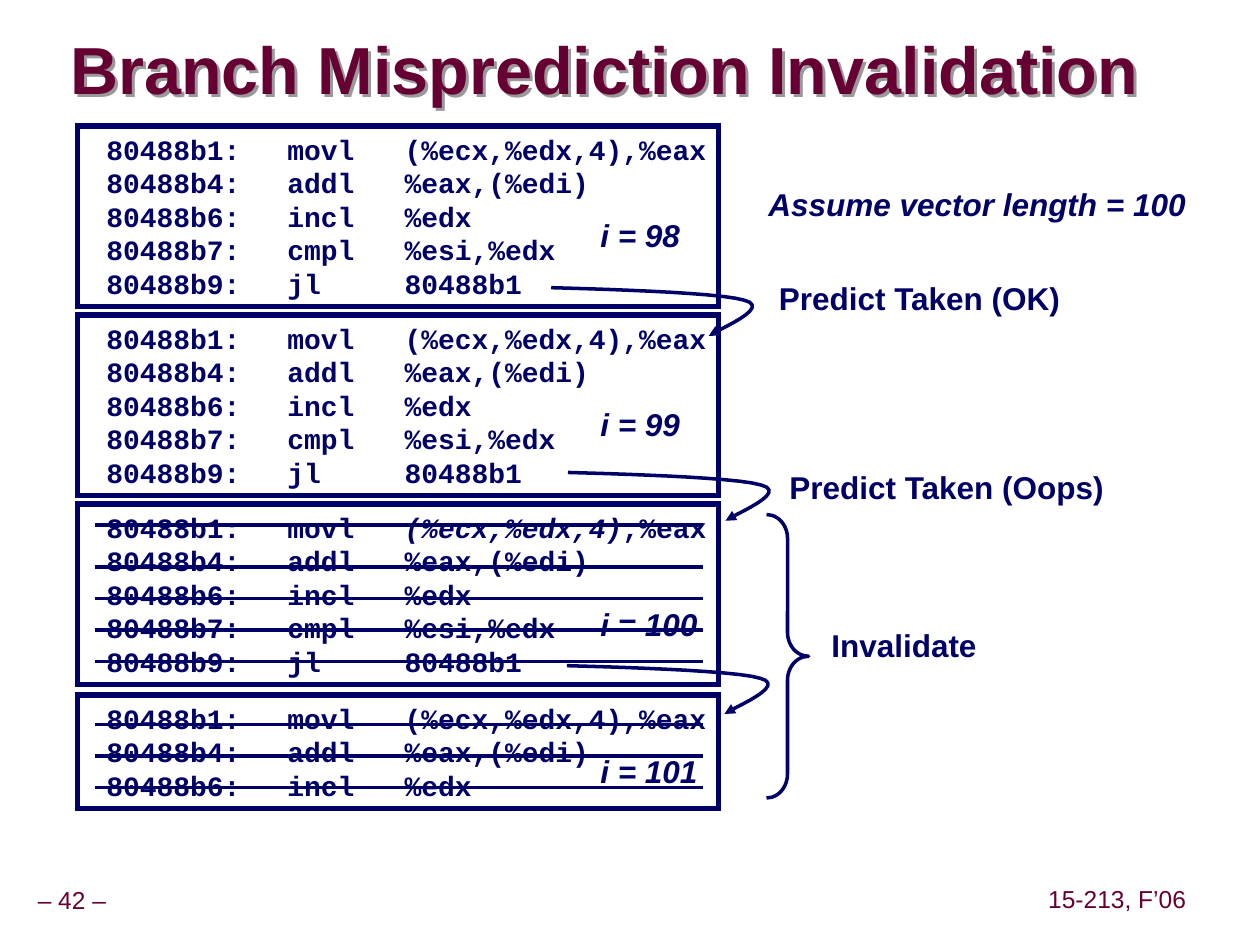
"""Builds the slide on invalidating instructions after a mispredicted branch."""
from dataclasses import dataclass
from typing import NamedTuple

from lxml.etree import SubElement
from pptx import Presentation
from pptx.dml.color import RGBColor as Rgb
from pptx.enum.shapes import MSO_CONNECTOR as Connector, MSO_SHAPE as Preset
from pptx.enum.text import MSO_ANCHOR as Anchor, PP_ALIGN as Align
from pptx.oxml.ns import qn
from pptx.util import Inches, Pt


@dataclass(frozen=True)
class Theme:
    navy: Rgb = Rgb(0x00, 0x00, 0x66)
    maroon: Rgb = Rgb(0x66, 0x00, 0x33)
    shade: Rgb = Rgb(0x99, 0x99, 0x99)
    sans: str = "Arial"
    mono: str = "Courier New"
    title_size: int = 38
    label_size: int = 18
    code_size: int = 16
    footer_size: int = 14
    frame_width: int = 3
    stroke_width: int = 2


class Point(NamedTuple):
    col: float
    row: float


class Area(NamedTuple):
    col: float
    row: float
    cols: float
    rows: float


class Block(NamedTuple):
    row: float
    rows: float
    lines: int
    slanted: bool = False


class Label(NamedTuple):
    text: str
    area: Area
    italic: bool = False


THEME = Theme()
COLUMNS, ROWS = 120, 90
WIDTH, HEIGHT = Inches(10), Inches(7.5)
CURVE_STEPS = 12
CODE_TAB = Inches(1.57)
LOAD = "(%ecx,%edx,4)"
CODE = (
    f" 80488b1:\tmovl   {LOAD},%eax",
    " 80488b4:\taddl   %eax,(%edi)",
    " 80488b6:\tincl   %edx",
    " 80488b7:\tcmpl   %esi,%edx",
    " 80488b9:\tjl     80488b1",
)
BLOCKS = (Block(12, 17.2, 5), Block(30, 17.2, 5), Block(48, 17.2, 5, True), Block(66.2, 10.8, 3))
LABELS = (
    Label("i = 98", Area(56, 20, 12, 4.8), True),
    Label("i = 99", Area(56, 38, 12, 4.8), True),
    Label("i = 100", Area(56, 57, 13, 4.8), True),
    Label("i = 101", Area(56, 71, 13, 4.8), True),
    Label("Assume vector length = 100", Area(72, 17, 44, 4.8), True),
    Label("Predict Taken (OK)", Area(73, 26, 31, 4.8)),
    Label("Predict Taken (Oops)", Area(74, 44, 34, 4.8)),
    Label("Invalidate", Area(78, 59, 18, 4.8)),
)
FOOTERS = (
    Label("– 42 –", Area(-1, 84, 15.7, 3.7)),
    Label("15-213, F’06", Area(98.4, 83.9, 16, 3.7)),
)
JUMPS = (Point(52.5, 27.4), Point(54.1, 45), Point(54, 63.4))
JUMP_CURVES = (
    (Point(0, 0), Point(3.1, 0.1), Point(15.8, 0.4), Point(18.4, 1.2)),
    (Point(18.4, 1.2), Point(21.1, 1.9), Point(15.8, 4), Point(15, 4.6)),
)
STRIKE_ROWS = (50, *range(54, 64, 3), *range(69, 76, 3))


def across(cols: float) -> int:
    """Converts grid columns to a length."""
    return round(WIDTH * cols / COLUMNS)


def down(rows: float) -> int:
    """Converts grid rows to a length."""
    return round(HEIGHT * rows / ROWS)


def place(area: Area) -> tuple:
    """Gives left, top, width and height of a grid area."""
    return across(area.col), down(area.row), across(area.cols), down(area.rows)


def assign(target, **values) -> None:
    """Sets format values on an object."""
    for name, value in values.items():
        setattr(target, name, value)


def style_line(line, width: int) -> None:
    """Gives a line its colour and width."""
    line.color.rgb = THEME.navy
    line.width = Pt(width)


def add_span(para, text: str, size: int, color: Rgb, **values) -> None:
    """Adds one formatted run to a paragraph."""
    span = para.add_run()
    span.text = text
    span.font.color.rgb = color
    assign(span.font, **{"size": Pt(size), "name": THEME.sans, "bold": True, **values})


def add_label(page, label: Label, size: int, color: Rgb, margins: tuple = (0.1, 0.05),
              anchor=Anchor.TOP, align=Align.LEFT, spacing: float = 1.0, bold: bool = True):
    """Adds a one-line text box and returns it."""
    box = page.shapes.add_textbox(*place(label.area))
    side, edge = map(Inches, margins)
    assign(box.text_frame, word_wrap=False, vertical_anchor=anchor, margin_left=side,
           margin_right=side, margin_top=edge, margin_bottom=edge)
    para = box.text_frame.paragraphs[0]
    assign(para, alignment=align, line_spacing=spacing)
    add_span(para, label.text, size, color, bold=bold, italic=label.italic)
    return box


def add_title(page) -> None:
    """Adds the title with its shadow."""
    label = Label("Branch Misprediction Invalidation", Area(6.7, 3.2, 104.3, 7.6))
    box = add_label(page, label, THEME.title_size, THEME.maroon, (0, 0), Anchor.MIDDLE, spacing=0.87)
    effects = SubElement(box._element.spPr, qn("a:effectLst"))
    shadow = SubElement(effects, qn("a:outerShdw"), dist=str(Pt(2.4)), dir="2700000", algn="tl")
    SubElement(shadow, qn("a:srgbClr"), val=str(THEME.shade))


def add_block(page, block: Block) -> None:
    """Adds a framed listing of the loop."""
    box = page.shapes.add_shape(Preset.RECTANGLE, *place(Area(7.35, block.row, 61.1, block.rows)))
    box.shadow.inherit = False
    box.fill.background()
    style_line(box.line, THEME.frame_width)
    SubElement(box.line._get_or_add_ln(), qn("a:miter"), lim="800000")
    frame = box.text_frame
    assign(frame, word_wrap=False, vertical_anchor=Anchor.TOP)
    for index, text in enumerate(CODE[:block.lines]):
        para = frame.add_paragraph() if index else frame.paragraphs[0]
        para.alignment = Align.LEFT
        tabs = SubElement(para._p.get_or_add_pPr(), qn("a:tabLst"))
        SubElement(tabs, qn("a:tab"), pos=str(CODE_TAB), algn="l")
        for part in filter(None, text.partition(LOAD)):
            add_span(para, part, THEME.code_size, THEME.navy, name=THEME.mono,
                     italic=block.slanted and part == LOAD)


def curve_points(start: Point, curve: tuple) -> list:
    """Samples a cubic curve moved to a start point."""
    points = []
    for step in range(1, CURVE_STEPS + 1):
        t = step / CURVE_STEPS
        weights = ((1 - t) ** 3, 3 * t * (1 - t) ** 2, 3 * t ** 2 * (1 - t), t ** 3)
        col = start.col + sum(w * p.col for w, p in zip(weights, curve))
        row = start.row + sum(w * p.row for w, p in zip(weights, curve))
        points.append((across(col), down(row)))
    return points


def add_jump(page, start: Point) -> None:
    """Adds a curved arrow from a jump to its target."""
    builder = page.shapes.build_freeform(across(start.col), down(start.row))
    for curve in JUMP_CURVES:
        builder.add_line_segments(curve_points(start, curve), close=False)
    arrow = builder.convert_to_shape()
    arrow.shadow.inherit = False
    arrow.fill.background()
    style_line(arrow.line, THEME.stroke_width)
    SubElement(arrow.line._get_or_add_ln(), qn("a:tailEnd"), type="triangle")


def add_strike(page, row: float) -> None:
    """Adds a line through a cancelled instruction."""
    strike = page.shapes.add_connector(Connector.STRAIGHT, across(9), down(row), across(67), down(row))
    style_line(strike.line, THEME.stroke_width)
    SubElement(strike._element.spPr, qn("a:effectLst"))


def add_brace(page) -> None:
    """Adds the brace around the cancelled blocks."""
    brace = page.shapes.add_shape(Preset.RIGHT_BRACE, *place(Area(73, 49, 4, 27)))
    brace.shadow.inherit = False
    brace.fill.background()
    brace.adjustments[0] = 0.57
    style_line(brace.line, THEME.stroke_width)


def main() -> None:
    """Builds and saves the deck."""
    deck = Presentation()
    assign(deck, slide_width=WIDTH, slide_height=HEIGHT)
    page = deck.slides.add_slide(deck.slide_layouts[6])
    for footer in FOOTERS:
        add_label(page, footer, THEME.footer_size, THEME.maroon, (0.05, 0.05),
                  Anchor.MIDDLE, Align.CENTER, 0.9, False)
    add_title(page)
    for block in BLOCKS:
        add_block(page, block)
    for start in JUMPS:
        add_jump(page, start)
    for label in LABELS:
        add_label(page, label, THEME.label_size, THEME.navy)
    for row in STRIKE_ROWS:
        add_strike(page, row)
    add_brace(page)
    deck.save("out.pptx")


if __name__ == "__main__":
    main()
